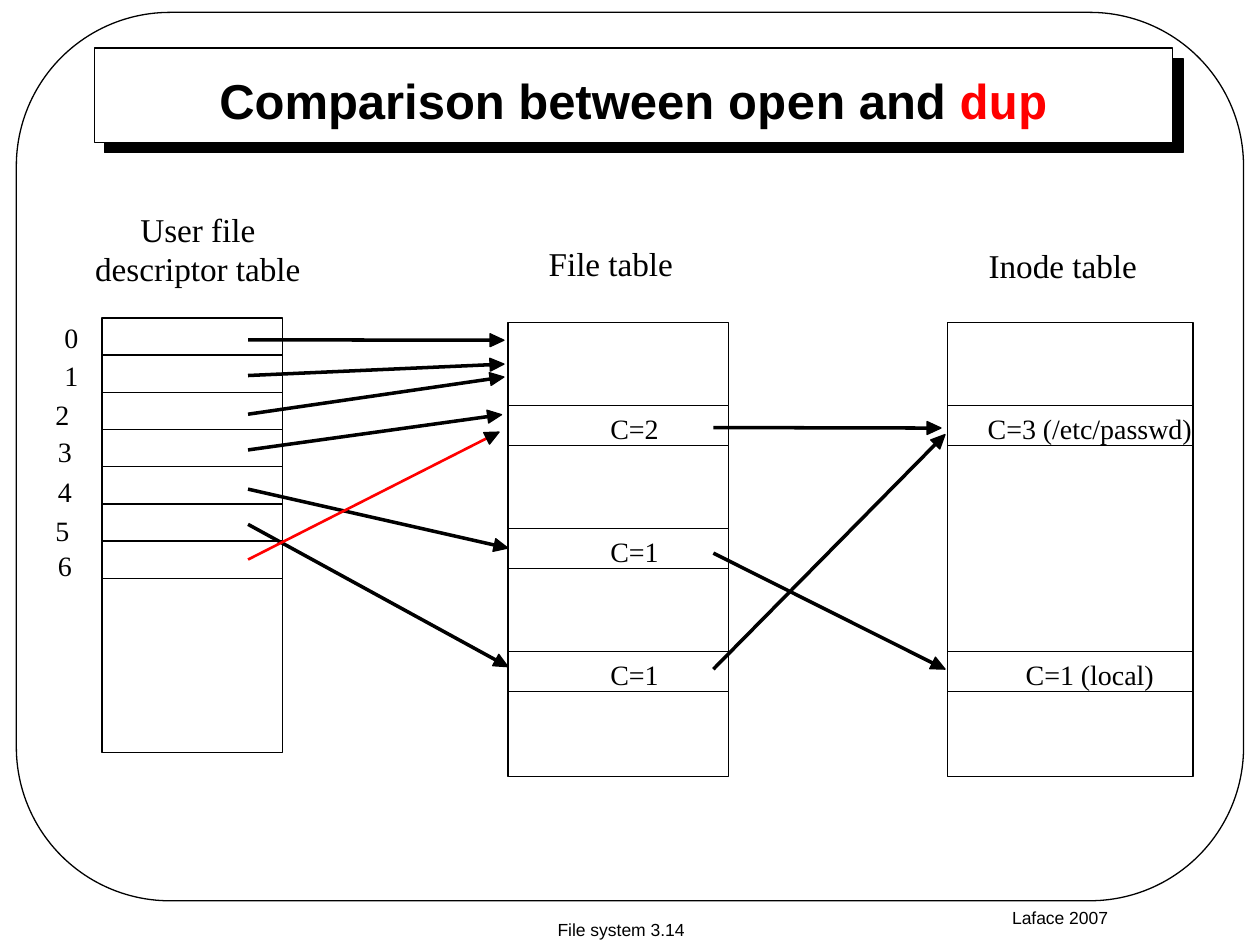
from math import hypot

from lxml import etree
from pptx import Presentation
from pptx.dml.color import RGBColor
from pptx.enum.shapes import MSO_CONNECTOR as CONN, MSO_SHAPE as SHAPE
from pptx.enum.text import MSO_ANCHOR as ANCHOR, PP_ALIGN as ALIGN
from pptx.oxml.ns import qn
from pptx.util import Cm, Pt

BLACK = RGBColor(0, 0, 0)
WHITE = RGBColor(255, 255, 255)
RED = RGBColor(255, 0, 0)
SERIF, SANS, MONO = "Times New Roman", "Arial", "Courier New"

TALL, LOW, LAST = 1.67, 0.81, 1.71  # row heights of the kernel tables
HEAD, HALF = 0.28, 0.13  # length and half width of an arrowhead


def add_box(s, x, y, w, h, kind=SHAPE.RECTANGLE, line=0, fill=WHITE):
    sp = s.shapes.add_shape(kind, Cm(x), Cm(y), Cm(w), Cm(h))
    sp.shadow.inherit = False
    if fill is None:
        sp.fill.background()
    else:
        sp.fill.solid()
        sp.fill.fore_color.rgb = fill
    sp.line.color.rgb = BLACK
    sp.line.width = Pt(line)
    return sp


def add_text(s, cx, y, w, h, text, size, font=SERIF, anchor=ANCHOR.TOP):
    """Centred text around cx; each line of text is a paragraph."""
    tf = s.shapes.add_textbox(Cm(cx - w / 2), Cm(y), Cm(w), Cm(h)).text_frame
    tf.margin_left = tf.margin_right = tf.margin_top = tf.margin_bottom = 0
    tf.word_wrap = True
    tf.vertical_anchor = anchor
    tf.text = text
    for p in tf.paragraphs:
        p.alignment = ALIGN.CENTER
        for r in p.runs:
            r.font.size, r.font.name = Pt(size), font
            r.font.color.rgb = BLACK
    return tf


def add_arrow(s, start, tip, color=BLACK, width=0):
    """Line with a black triangular head at the tip."""
    (x1, y1), (x2, y2) = start, tip
    length = hypot(x2 - x1, y2 - y1)
    ux, uy = (x2 - x1) / length, (y2 - y1) / length
    bx, by = x2 - HEAD * ux, y2 - HEAD * uy
    ln = s.shapes.add_connector(CONN.STRAIGHT, Cm(x1), Cm(y1),
                                Cm((x2 + bx) / 2), Cm((y2 + by) / 2))
    ln.line.color.rgb = color
    ln.line.width = Pt(width)
    etree.SubElement(ln._element.spPr, qn("a:effectLst"))

    corners = [(bx - HALF * uy, by + HALF * ux), (bx + HALF * uy, by - HALF * ux)]
    fb = s.shapes.build_freeform(Cm(x2), Cm(y2))
    fb.add_line_segments([(Cm(x), Cm(y)) for x, y in corners], close=True)
    head = fb.convert_to_shape()
    head.shadow.inherit = False
    head.fill.solid()
    head.fill.fore_color.rgb = BLACK
    head.line.color.rgb = BLACK
    head.line.width = Pt(0)


def add_frame(s, x, y, w, h):
    # Rounded outline with the two footers below it
    frame = add_box(s, x, y, w, h, SHAPE.ROUNDED_RECTANGLE, 0.75, None)
    frame.adjustments[0] = 0.173
    add_text(s, x + 21.04, y + h + 0.13, 5, 0.5, "Laface 2007", 10, SANS)
    add_text(s, x + 12.19, y + h + 0.32, 4, 0.5, "File system 3.14", 10, SANS,
             ANCHOR.MIDDLE)


def add_title(s, x, y, w, h):
    # Plate with a hard shadow
    plate = add_box(s, x, y, w, h, line=0.75)
    effects = plate._element.spPr.find(qn("a:effectLst"))
    shadow = etree.SubElement(effects, qn("a:outerShdw"), dist=str(Pt(8.5)),
                              dir="2700000", algn="ctr", rotWithShape="0")
    etree.SubElement(shadow, qn("a:srgbClr"), val="000000")

    # Title with the system calls in their own font
    tf = add_text(s, x + w / 2, y + 0.4, 19.13, 1.27, "", 28, anchor=ANCHOR.MIDDLE)
    for text, font, color in (("Comparison between ", SANS, BLACK),
                              ("open", MONO, BLACK),
                              (" and ", SANS, BLACK),
                              ("dup", MONO, RED)):
        r = tf.paragraphs[0].add_run()
        r.text = text
        r.font.size, r.font.name, r.font.bold = Pt(28), font, True
        r.font.color.rgb = color


def add_descriptor_table(s, x, y, w, h):
    add_text(s, x + 1.93, y - 2.2, 5, 1.6, "User file\ndescriptor table", 19)
    pitch = 0.75
    numbers = ((-0.62, 0.05), (-0.62, 0.81), (-0.8, 1.6), (-0.75, 2.36),
               (-0.75, 3.15), (-0.8, 3.94), (-0.75, 4.65))
    for i, (dx, dy) in enumerate(numbers):
        add_box(s, x, y + i * pitch, w, pitch)
        add_text(s, x + dx, y + dy, 0.6, 0.69, str(i), 16)
    used = len(numbers) * pitch
    add_box(s, x, y + used, w, h - used)


def add_kernel_table(s, x, y, w, heading, rows, heading_y, label_x):
    """Table of stacked (height, label) rows."""
    add_text(s, x + w / 2 - 0.15, heading_y, 5, 0.81, heading, 19)
    for height, label in rows:
        add_box(s, x, y, w, height)
        if label:
            add_text(s, x + label_x, y + 0.12, 4.6, 0.69, label, 16)
        y += height


def add_pointers(s, from_x, links):
    # Arrows leaving one table, as (start height, tip)
    for y, tip in links:
        add_arrow(s, (from_x, y), tip)


def main():
    prs = Presentation()
    prs.slide_width, prs.slide_height = Cm(25.4), Cm(19.05)
    s = prs.slides.add_slide(prs.slide_layouts[6])

    add_title(s, 1.9, 0.97, 21.74, 1.9)
    add_frame(s, 0.33, 0.25, 24.74, 17.91)

    # Tables
    add_descriptor_table(s, 2.06, 6.41, 3.63, 8.76)
    add_kernel_table(s, 10.24, 6.5, 4.45, "File table",
                     [(TALL, ""), (LOW, "C=2"), (TALL, ""), (LOW, "C=1"),
                      (TALL, ""), (LOW, "C=1"), (LAST, "")], 4.9, 2.55)
    add_kernel_table(s, 19.1, 6.5, 4.95, "Inode table",
                     [(TALL, ""), (LOW, "C=3 (/etc/passwd)"),
                      (2 * TALL + LOW, ""), (LOW, "C=1 (local)"), (LAST, "")],
                     4.95, 2.87)

    # Pointers between the tables
    add_pointers(s, 5, [(6.85, (10.16, 6.86)), (7.57, (10.16, 7.34)),
                        (8.35, (10.16, 7.6)), (9.07, (10.11, 8.36)),
                        (9.86, (10.24, 11.05)), (10.57, (10.24, 13.44))])
    add_pointers(s, 14.38, [(8.62, (18.97, 8.63)), (11.15, (19.05, 13.49)),
                            (13.49, (19.05, 8.76))])
    add_arrow(s, (5, 11.28), (10.06, 8.71), RED, 1.5)

    prs.save("out.pptx")


if __name__ == "__main__":
    main()
